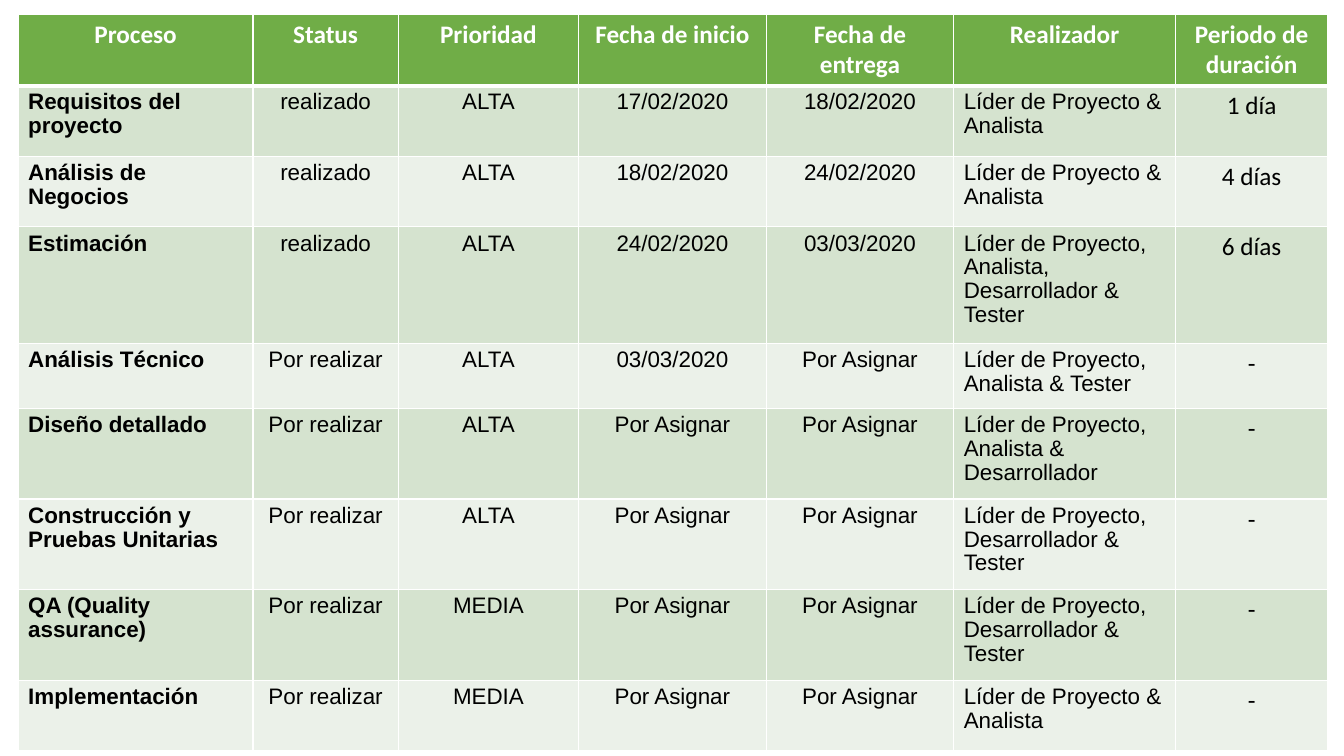
from dataclasses import dataclass

from lxml import etree
from pptx import Presentation
from pptx import util as u
from pptx.dml.color import RGBColor
from pptx.enum import text
from pptx.oxml import ns

SLIDE_WIDTH, SLIDE_HEIGHT = 13.33, 7.5
LEFT, TOP = 0.18, 0.14
COLUMN_WIDTHS = (2.33, 1.44, 1.79, 1.86, 1.86, 2.2, 1.51)
ROW_HEIGHTS = (0.7, 0.7, 0.7, 1.16, 0.64, 0.9, 0.9, 0.9, 0.7)

WHITE, BLACK, GREEN = "FFFFFF", "000000", "70AD47"
BANDS = ("D5E3CF", "EBF1E9")


@dataclass(frozen=True)
class CellStyle:
    font: str = "Arial"
    size: int = 16
    bold: bool = False
    color: str = BLACK
    align: text.PP_ALIGN = text.PP_ALIGN.CENTER
    spacing: float = 0.96


HEADER = CellStyle("Calibri", 18, True, WHITE, spacing=1.0)
PROCESS = CellStyle(bold=True, align=text.PP_ALIGN.LEFT)
VALUE = CellStyle()
TEAM = CellStyle(align=text.PP_ALIGN.LEFT)
DURATION = CellStyle("Calibri", 18, spacing=1.0)
COLUMN_STYLES = (PROCESS, VALUE, VALUE, VALUE, VALUE, TEAM, DURATION)

DONE, PENDING, UNASSIGNED = "realizado", "Por realizar", "Por Asignar"
LEAD_ANALYST = "Líder de Proyecto & Analista"
LEAD_DEVELOPER_TESTER = "Líder de Proyecto, Desarrollador & Tester"

HEADINGS = ("Proceso", "Status", "Prioridad", "Fecha de inicio",
            "Fecha de entrega", "Realizador", "Periodo de duración")
TASKS = (
    ("Requisitos del proyecto", DONE, "ALTA", "17/02/2020", "18/02/2020",
     LEAD_ANALYST, "1 día"),
    ("Análisis de Negocios", DONE, "ALTA", "18/02/2020", "24/02/2020",
     LEAD_ANALYST, "4 días"),
    ("Estimación", DONE, "ALTA", "24/02/2020", "03/03/2020",
     "Líder de Proyecto, Analista, Desarrollador & Tester", "6 días"),
    ("Análisis Técnico", PENDING, "ALTA", "03/03/2020", UNASSIGNED,
     "Líder de Proyecto, Analista & Tester", "-"),
    ("Diseño detallado", PENDING, "ALTA", UNASSIGNED, UNASSIGNED,
     "Líder de Proyecto, Analista & Desarrollador", "-"),
    ("Construcción y Pruebas Unitarias", PENDING, "ALTA", UNASSIGNED, UNASSIGNED,
     LEAD_DEVELOPER_TESTER, "-"),
    ("QA (Quality assurance)", PENDING, "MEDIA", UNASSIGNED, UNASSIGNED,
     LEAD_DEVELOPER_TESTER, "-"),
    ("Implementación", PENDING, "MEDIA", UNASSIGNED, UNASSIGNED,
     LEAD_ANALYST, "-"),
)


def rgb(color: str) -> RGBColor:
    return RGBColor.from_string(color)


def set_borders(cell, top: int, bottom: int) -> None:
    """Draw white cell borders, with widths in points."""
    properties = cell._tc.get_or_add_tcPr()
    for side, width in (("L", 1), ("R", 1), ("T", top), ("B", bottom)):
        line = etree.SubElement(properties, ns.qn(f"a:ln{side}"), w=str(u.Pt(width)))
        fill = etree.SubElement(line, ns.qn("a:solidFill"))
        etree.SubElement(fill, ns.qn("a:srgbClr"), val=WHITE)


def fill_cell(cell, content: str, style: CellStyle, background: str) -> None:
    cell.fill.solid()
    cell.fill.fore_color.rgb = rgb(background)
    cell.text = content
    paragraph = cell.text_frame.paragraphs[0]
    paragraph.alignment = style.align
    paragraph.line_spacing = style.spacing
    paragraph.font.name = style.font
    paragraph.font.size = u.Pt(style.size)
    paragraph.font.bold = style.bold
    paragraph.font.color.rgb = rgb(style.color)


# Slide
deck = Presentation()
deck.slide_width, deck.slide_height = u.Inches(SLIDE_WIDTH), u.Inches(SLIDE_HEIGHT)
slide = deck.slides.add_slide(deck.slide_layouts[6])

# Schedule grid
schedule = slide.shapes.add_table(
    len(ROW_HEIGHTS), len(COLUMN_WIDTHS), u.Inches(LEFT), u.Inches(TOP),
    u.Inches(sum(COLUMN_WIDTHS)), u.Inches(sum(ROW_HEIGHTS))).table
schedule.first_row = schedule.horz_banding = False
for column, width in zip(schedule.columns, COLUMN_WIDTHS):
    column.width = u.Inches(width)
for row, height in zip(schedule.rows, ROW_HEIGHTS):
    row.height = u.Inches(height)

# Headings, then tasks in alternating bands
for r, entries in enumerate((HEADINGS, *TASKS)):
    background = BANDS[(r - 1) % 2] if r else GREEN
    for c, content in enumerate(entries):
        cell = schedule.cell(r, c)
        set_borders(cell, top=3 if r == 1 else 1, bottom=3 if r == 0 else 1)
        fill_cell(cell, content, COLUMN_STYLES[c] if r else HEADER, background)

deck.save("out.pptx")
